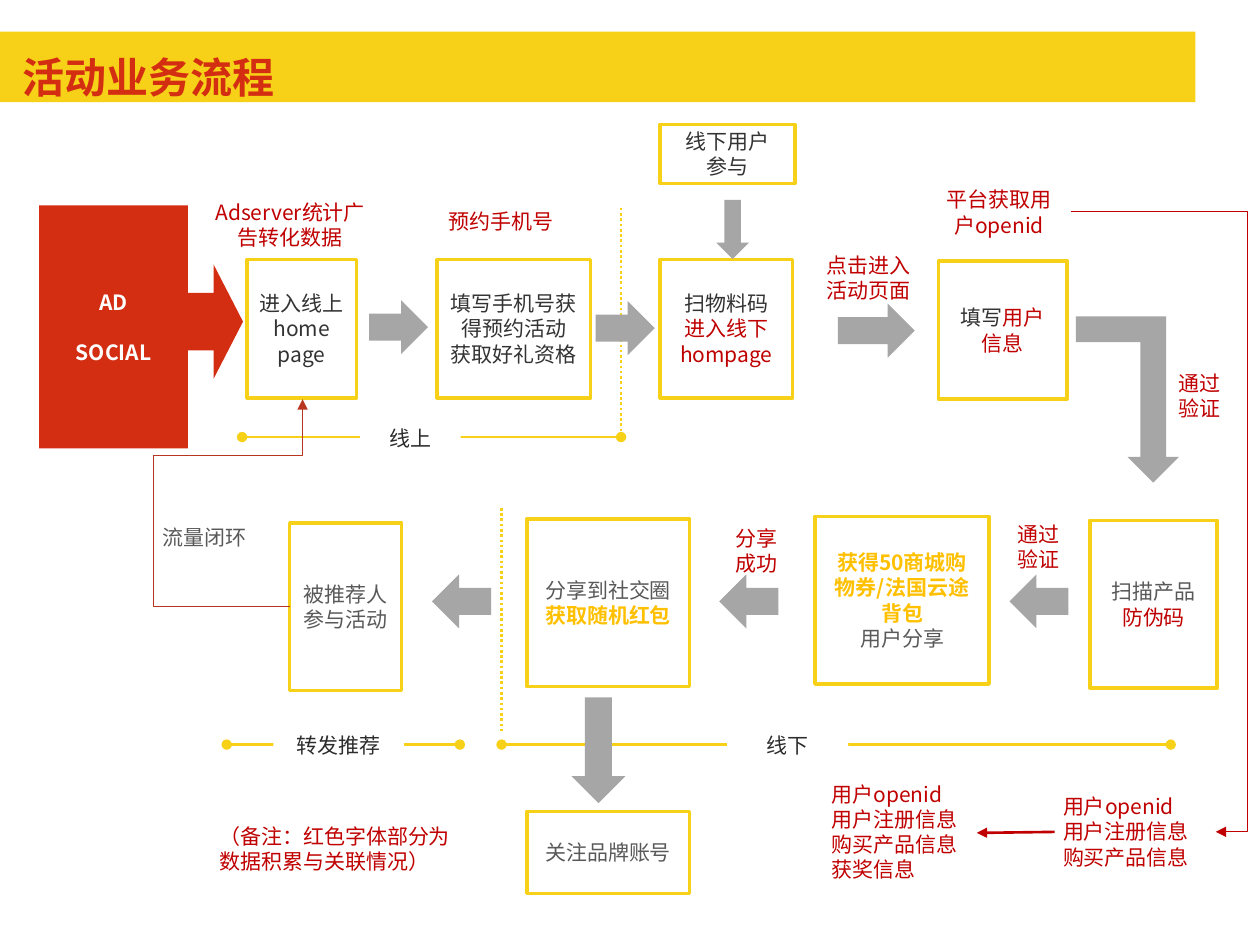
from dataclasses import dataclass

from lxml import etree
from pptx import Presentation
from pptx.dml.color import RGBColor
from pptx.enum import dml, shapes, text
from pptx.oxml import ns
from pptx.util import Cm, Pt

GEO = shapes.MSO_SHAPE
MID = text.MSO_ANCHOR.MIDDLE
LEFT, CENTER = text.PP_ALIGN.LEFT, text.PP_ALIGN.CENTER


@dataclass(frozen=True)
class Theme:
    yellow: str = "F7D117"
    red: str = "D42E12"
    loop: str = "B83520"
    note: str = "C00000"
    gold: str = "FFC000"
    dark: str = "333333"
    ink: str = "2C2C2C"
    soft: str = "595959"
    gray: str = "A6A6A6"
    white: str = "FFFFFF"
    head: str = "League Spartan"
    body: str = "Noto Sans CJK SC"
    big: int = 24
    size: int = 12
    pitch: float = 14.4


T = Theme()


def rgb(code):
    return RGBColor.from_string(code)


def add_run(para, words, color, bold=False, face=T.body, size=T.size):
    run = para.add_run()
    run.text = words
    font = run.font
    font.size, font.bold, font.name = Pt(size), bold, face
    font.color.rgb = rgb(color)
    east = etree.SubElement(font._element, ns.qn("a:ea"))
    east.set("typeface", face)


def write(shape, paras, align=CENTER, gap=0):
    """Fill a shape with paragraphs, each a list of (words, color[, bold])."""
    frame = shape.text_frame
    frame.word_wrap = True
    frame.vertical_anchor = MID
    for i, runs in enumerate(paras):
        para = frame.paragraphs[0] if i == 0 else frame.add_paragraph()
        para.alignment = align
        para.line_spacing = Pt(T.pitch)
        if i and gap:
            para.space_before = Pt(gap)
        for run in runs:
            add_run(para, *run)


def add_form(slide, kind, spot, fill, edge=None):
    form = slide.shapes.add_shape(kind, *map(Cm, spot))
    form.shadow.inherit = False
    form.fill.solid()
    form.fill.fore_color.rgb = rgb(fill)
    if edge:
        form.line.color.rgb = rgb(edge)
        form.line.width = Pt(2)
    else:
        form.line.fill.background()
    return form


def add_step(slide, spot, *paras):
    write(add_form(slide, GEO.RECTANGLE, spot, T.white, T.yellow), paras)


def add_label(slide, spot, words, color=T.ink):
    write(add_form(slide, GEO.RECTANGLE, spot, T.white), [[(words, color)]])


def add_note(slide, spot, lines, align=CENTER):
    box = slide.shapes.add_textbox(*map(Cm, spot))
    write(box, [[(line, T.note)] for line in lines], align)


def add_link(slide, ends, color, width, head=None, tail=None, dash=None,
             kind=shapes.MSO_CONNECTOR.STRAIGHT):
    link = slide.shapes.add_connector(kind, *map(Cm, ends))
    link.line.color.rgb = rgb(color)
    link.line.width = Pt(width)
    if dash:
        link.line.dash_style = dash
    line = link.line._get_or_add_ln()
    for tag, tip in (("a:headEnd", head), ("a:tailEnd", tail)):
        if tip:
            etree.SubElement(line, ns.qn(tag)).set("type", tip)
    etree.SubElement(link.element.spPr, ns.qn("a:effectLst"))
    return link


def add_elbow(slide, ends, color, width, turns):
    """Bent arrow; turns are shares of its width, then of its height."""
    link = add_link(slide, ends, color, width, tail="triangle",
                    kind=shapes.MSO_CONNECTOR.ELBOW)
    geom = link.element.spPr.find(ns.qn("a:prstGeom"))
    geom.set("prst", f"bentConnector{len(turns) + 2}")
    for old in list(geom):
        geom.remove(old)
    guides = etree.SubElement(geom, ns.qn("a:avLst"))
    for i, turn in enumerate(turns, 1):
        guide = etree.SubElement(guides, ns.qn("a:gd"))
        guide.set("name", f"adj{i}")
        guide.set("fmla", f"val {round(turn * 100000)}")


def add_title(slide, words):
    bar = add_form(slide, GEO.RECTANGLE, (0, 0.64, 24.1, 1.42), T.yellow)
    slide.shapes.element.insert(2, bar.element)
    title = slide.shapes.title
    title.left, title.top, title.width, title.height = map(
        Cm, (0.46, 0.97, 21.39, 1.17))
    frame = title.text_frame
    frame.margin_left = frame.margin_right = 0
    frame.margin_top = frame.margin_bottom = 0
    frame.vertical_anchor = MID
    para = frame.paragraphs[0]
    para.alignment = LEFT
    add_run(para, words, T.red, True, T.head, T.big)


def add_steps(slide):
    top, high = 5.23, 2.79
    add_step(slide, (4.98, top, 2.21, high),
             [("进入线上home", T.dark)], [("page", T.dark)])
    add_step(slide, (8.81, top, 3.1, high),
             [("填写手机号获得预约活动", T.dark)], [("获取好礼资格", T.dark)])
    add_step(slide, (13.31, top, 2.67, high),
             [("扫物料码", T.dark)], [("进入线下hompage", T.note)])
    add_step(slide, (18.92, 5.26, 2.59, high),
             [("填写", T.dark), ("用户信息", T.note)])
    add_step(slide, (13.31, 2.51, 2.72, 1.19),
             [("线下用户", T.dark)], [("参与", T.dark)])

    tall = 3.38
    add_step(slide, (21.97, 10.49, 2.57, tall),
             [("扫描产品", T.soft), ("防伪码", T.note)])
    add_step(slide, (16.43, 10.41, 3.51, tall),
             [("获得50商城购物券/法国云途背包", T.gold, True)],
             [("用户分享", T.soft)])
    add_step(slide, (10.62, 10.46, 3.28, tall),
             [("分享到社交圈", T.soft)], [("获取随机红包", T.gold, True)])
    add_step(slide, (5.84, 10.54, 2.26, tall), [("被推荐人参与活动", T.soft)])
    add_step(slide, (10.62, 16.36, 3.28, 1.65), [("关注品牌账号", T.soft)])

    source = add_form(slide, GEO.RECTANGLE, (0.79, 4.14, 3, 4.9), T.red)
    write(source, [[("AD", T.white, True)], [("SOCIAL", T.white, True)]],
          gap=T.pitch)


def add_arrows(slide):
    add_form(slide, GEO.RIGHT_ARROW, (3.71, 5.33, 1.19, 2.31), T.red)
    for left, top, wide in ((7.44, 6.05, 1.19), (12.01, 6.07, 1.19),
                            (16.89, 6.12, 1.55)):
        add_form(slide, GEO.RIGHT_ARROW, (left, top, wide, 1.09), T.gray)
    for left in (8.71, 14.5, 20.35):
        add_form(slide, GEO.LEFT_ARROW, (left, 11.58, 1.19, 1.09), T.gray)
    for spot in ((14.44, 4.03, 0.66, 1.19), (11.52, 14.06, 1.09, 2.13)):
        add_form(slide, GEO.DOWN_ARROW, spot, T.gray)
    turn = add_form(slide, GEO.BENT_UP_ARROW, (21.69, 6.38, 2.08, 3.35), T.gray)
    turn.element.spPr.find(ns.qn("a:xfrm")).set("flipV", "1")


def add_phases(slide):
    for x, top, end in ((10.11, 10.24, 14.73), (12.52, 4.19, 8.69)):
        add_link(slide, (x, top, x, end), T.yellow, 1.5,
                 dash=dml.MSO_LINE.ROUND_DOT)
    for start, end, y, left, wide, words in (
            (4.88, 12.52, 8.81, 7.26, 2.03, "线上"),
            (10.11, 23.6, 15.01, 14.66, 2.44, "线下"),
            (4.57, 9.27, 15.01, 5.51, 2.64, "转发推荐")):
        add_link(slide, (start, y, end, y), T.yellow, 1.5, "oval", "oval")
        add_label(slide, (left, y - 0.41, wide, 0.86), words)


def add_notes(slide):
    add_label(slide, (2.84, 10.52, 2.57, 0.61), "流量闭环", T.soft)
    add_note(slide, (4.06, 4.01, 3.58, 1.04), ["Adserver统计广告转化数据"])
    add_note(slide, (8.79, 3.94, 2.9, 1.04), ["预约手机号"], LEFT)
    add_note(slide, (16.41, 5.05, 2.49, 1.09), ["点击进入活动页面"], LEFT)
    add_note(slide, (18.69, 3.73, 2.9, 1.09), ["平台获取用户openid"])
    for left, top, words in ((23.42, 7.34, "通过验证"),
                             (20.17, 10.39, "通过验证"),
                             (14.5, 10.46, "分享成功")):
        add_note(slide, (left, top, 1.52, 1.27), [words])
    data = ["用户openid", "用户注册信息", "购买产品信息"]
    add_note(slide, (21.18, 15.37, 3.3, 2.79), data, LEFT)
    add_note(slide, (16.51, 15.37, 3.3, 2.79), data + ["获奖信息"], LEFT)
    add_note(slide, (4.17, 16.21, 5.38, 1.8),
             ["（备注：红色字体部分为数据积累与关联情况）"], LEFT)


def add_flows(slide):
    add_link(slide, (21.26, 16.77, 19.69, 16.79), T.note, 1.5, tail="triangle")
    add_elbow(slide, (5.84, 12.22, 6.1, 8.05), T.loop, 0.25, (-10.55, 0.73))
    add_elbow(slide, (21.59, 4.27, 24.51, 16.77), T.note, 0.75, (1.22,))


def main():
    deck = Presentation()
    deck.slide_width, deck.slide_height = Cm(25.4), Cm(19.05)
    slide = deck.slides.add_slide(deck.slide_layouts[5])
    add_title(slide, "活动业务流程")
    add_phases(slide)
    add_steps(slide)
    add_notes(slide)
    add_arrows(slide)
    add_flows(slide)
    deck.save("out.pptx")


if __name__ == "__main__":
    main()
